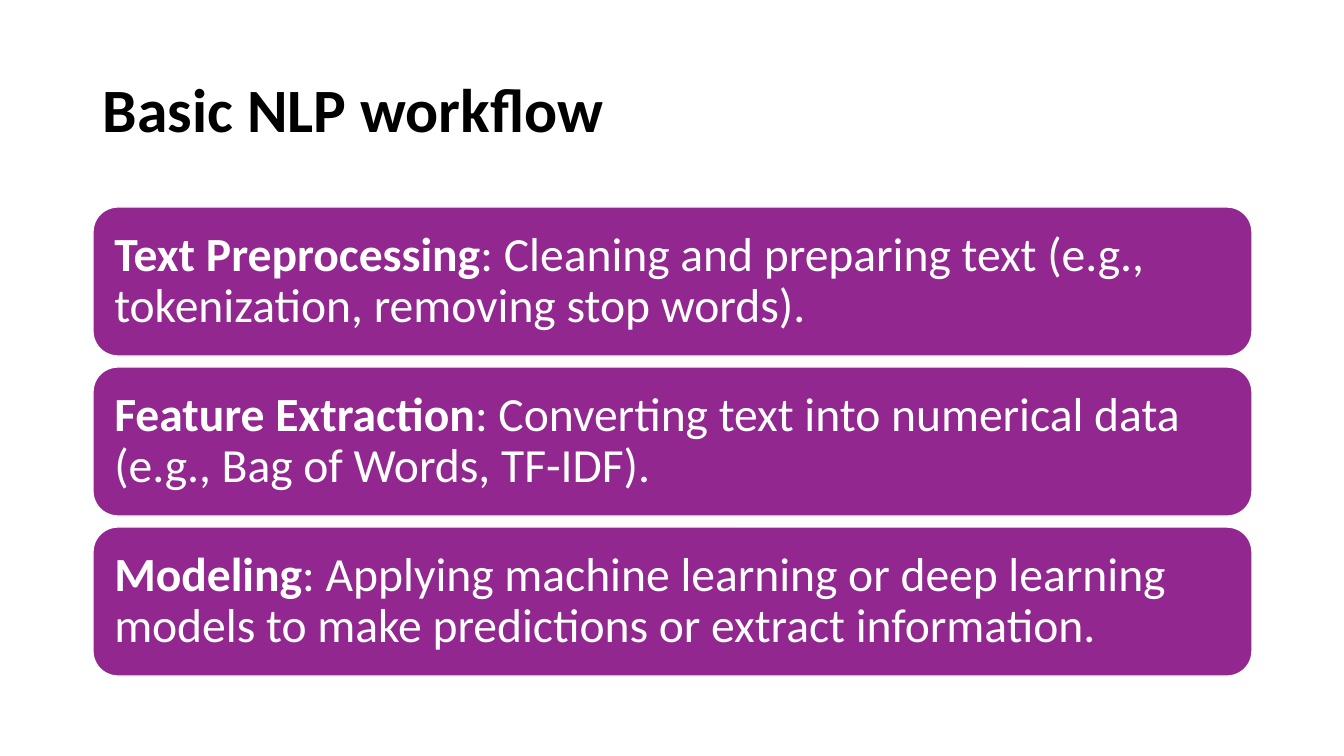
from dataclasses import dataclass

from pptx import Presentation
from pptx import util as u
from pptx.dml.color import RGBColor
from pptx.enum import shapes, text


@dataclass(frozen=True)
class Theme:
    """Colours, font and type sizes of the slide."""
    font: str = "Calibri"
    ink: str = "000000"
    paper: str = "FFFFFF"
    card: str = "92278F"
    title_size: int = 44
    card_size: int = 34


THEME = Theme()
EMU_PER_PX = 914400 / 100.8
LEFT, WIDTH = 93, 1159
CARD_TOP, CARD_HEIGHT, CARD_PITCH = 207, 149, 160
STEPS = [
    ("Text Preprocessing",
     ": Cleaning and preparing text (e.g., tokenization, removing stop words)."),
    ("Feature Extraction",
     ": Converting text into numerical data (e.g., Bag of Words, TF-IDF)."),
    ("Modeling",
     ": Applying machine learning or deep learning models to make predictions "
     "or extract information."),
]


def px(n):
    """Turn pixels into EMU."""
    return u.Emu(round(n * EMU_PER_PX))


def rgb(value):
    """Turn a hex string into a colour."""
    return RGBColor.from_string(value)


def add_run(p, words, *, size, color, bold=False):
    """Add a formatted run to a paragraph."""
    r = p.add_run()
    r.text = words
    r.font.name = THEME.font
    r.font.size = u.Pt(size)
    r.font.bold = bold
    r.font.color.rgb = rgb(color)


def first_paragraph(sp, inset_x, inset_y):
    """Set up a shape's text frame and return its left-aligned paragraph."""
    tf = sp.text_frame
    tf.word_wrap = True
    tf.vertical_anchor = text.MSO_ANCHOR.MIDDLE
    tf.margin_left = tf.margin_right = px(inset_x)
    tf.margin_top = tf.margin_bottom = px(inset_y)
    p = tf.paragraphs[0]
    p.alignment = text.PP_ALIGN.LEFT
    p.line_spacing = 0.9
    return p


def add_title(s, words):
    """Add the slide title."""
    sp = s.shapes.add_textbox(px(LEFT), px(40), px(WIDTH), px(146))
    p = first_paragraph(sp, 10, 5)
    add_run(p, words, size=THEME.title_size, color=THEME.ink, bold=True)


def add_card(s, top, name, description):
    """Add a rounded card with a bold step name and its description."""
    sp = s.shapes.add_shape(shapes.MSO_SHAPE.ROUNDED_RECTANGLE,
                            px(LEFT), px(top), px(WIDTH), px(CARD_HEIGHT))
    sp.shadow.inherit = False
    sp.fill.solid()
    sp.fill.fore_color.rgb = rgb(THEME.card)
    sp.line.color.rgb = rgb(THEME.paper)
    sp.line.width = u.Pt(1)
    p = first_paragraph(sp, 14, 14)
    add_run(p, name, size=THEME.card_size, color=THEME.paper, bold=True)
    add_run(p, description, size=THEME.card_size, color=THEME.paper)


def main():
    """Build and save the slide."""
    prs = Presentation()
    prs.slide_width, prs.slide_height = px(1344), px(756)
    s = prs.slides.add_slide(prs.slide_layouts[6])
    add_title(s, "Basic NLP workflow")
    for i, (name, description) in enumerate(STEPS):
        add_card(s, CARD_TOP + i * CARD_PITCH, name, description)
    prs.save("out.pptx")


if __name__ == "__main__":
    main()
